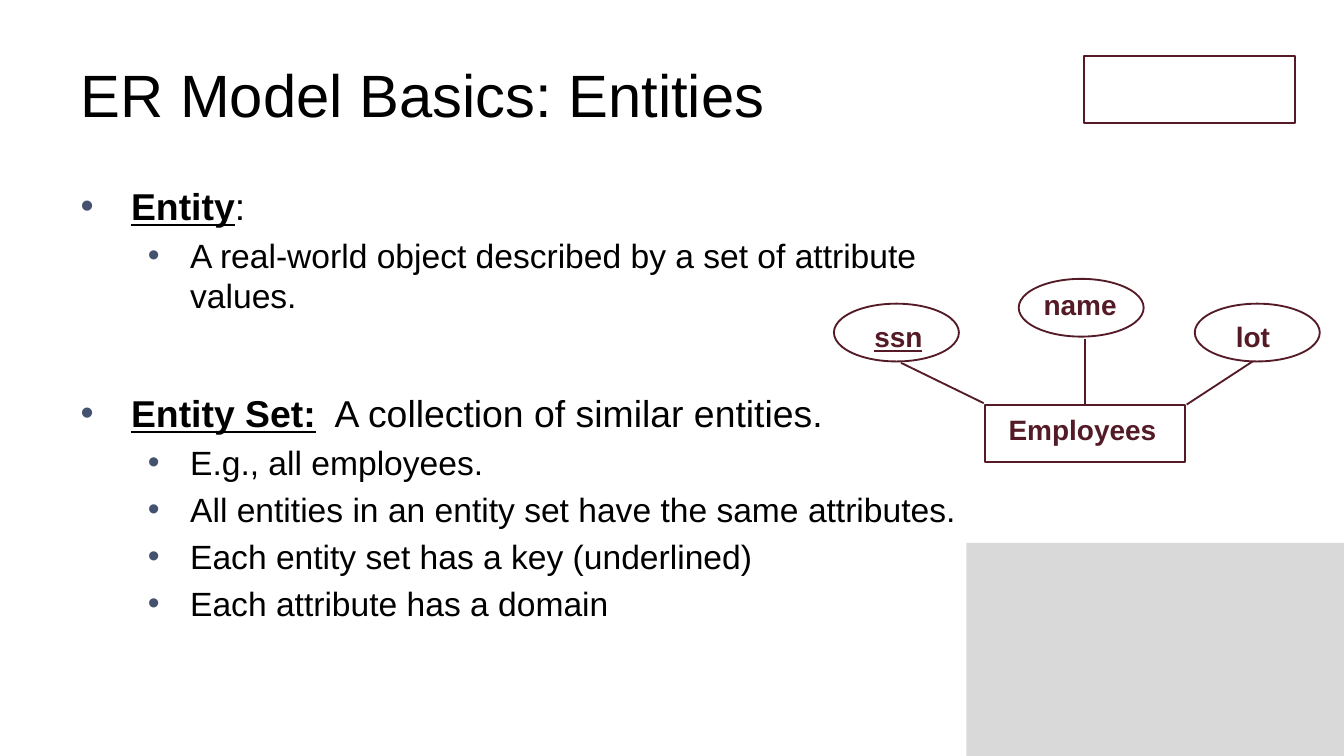
from dataclasses import dataclass

from lxml import etree
from pptx import Presentation
from pptx import util as u
from pptx.dml.color import RGBColor
from pptx.enum import shapes, text
from pptx.oxml import ns

PX = u.Inches(1) // 200


@dataclass(frozen=True)
class Theme:
    font: str = "Arial"
    ink: str = "000000"
    wine: str = "541B27"
    bullet: str = "44516F"
    block: str = "D9D9D9"
    title: int = 32
    items: tuple = (20, 18)
    label: int = 15


THEME = Theme()

# level, underlined term, remaining words, points before (None: inherited)
ITEMS = [
    (0, "Entity", ":", None),
    (1, "", "A real-world object described by a set of attribute values.", None),
    (0, "Entity Set:", "  A collection of similar entities.", 40),
    (1, "", "E.g., all employees.", None),
    (1, "", "All entities in an entity set have the same attributes.", None),
    (1, "", "Each entity set has a key (underlined)", None),
    (1, "", "Each attribute has a domain", None),
]
INDENTS = [(75, 75), (163, 63)]  # text margin and hanging bullet, by level

# name, is key, ellipse corner, label box
ATTRIBUTES = [
    ("ssn", True, (1241, 452), (1287, 468, 102, 66)),
    ("name", False, (1516, 415), (1539, 420, 140, 66)),
    ("lot", False, (1778, 452), (1825, 468, 82, 66)),
]


def px(*lengths):
    return [length * PX for length in lengths]


def place(shape, *frame):
    shape.left, shape.top, shape.width, shape.height = px(*frame)


def style_font(font, size, color, bold=None):
    font.name = THEME.font
    font.size = u.Pt(size)
    font.color.rgb = RGBColor.from_string(color)
    font.bold = bold


def style_line(line):
    line.color.rgb = RGBColor.from_string(THEME.wine)
    line.width = u.Pt(1)


def add_outline(page, kind, *frame):
    shape = page.shapes.add_shape(kind, *px(*frame))
    shape.shadow.inherit = False
    shape.fill.background()
    style_line(shape.line)
    return shape


def add_label(page, words, frame, underline=False):
    box = page.shapes.add_textbox(*px(*frame)).text_frame
    box.word_wrap = False
    box.auto_size = text.MSO_AUTO_SIZE.SHAPE_TO_FIT_TEXT
    box.margin_left, box.margin_right, box.margin_top, box.margin_bottom = px(14, 14, 8, 8)
    para = box.paragraphs[0]
    para.text = words
    style_font(para.font, THEME.label, THEME.wine, bold=True)
    para.font.underline = underline


def add_link(page, *ends):
    link = page.shapes.add_connector(shapes.MSO_CONNECTOR.STRAIGHT, *px(*ends))
    style_line(link.line)
    etree.SubElement(link.element.spPr, ns.qn("a:effectLst"))
    return link


def set_bullet(para, level):
    margin, hanging = px(*INDENTS[level])
    props = para._p.get_or_add_pPr()
    props.set("marL", str(margin))
    props.set("indent", str(-hanging))
    color = etree.SubElement(props, ns.qn("a:buClr"))
    etree.SubElement(color, ns.qn("a:srgbClr"), val=THEME.bullet)
    etree.SubElement(props, ns.qn("a:buChar"), char="•")


def fill_title(title):
    place(title, 100, 45, 1800, 188)
    title.text_frame.auto_size = text.MSO_AUTO_SIZE.NONE
    title.text_frame.vertical_anchor = text.MSO_ANCHOR.MIDDLE
    para = title.text_frame.paragraphs[0]
    para.text = "ER Model Basics: Entities"
    para.alignment = text.PP_ALIGN.LEFT
    style_font(para.font, THEME.title, THEME.ink)


def fill_list(body):
    place(body, 100, 263, 1354, 742)
    frame = body.text_frame
    frame.auto_size = text.MSO_AUTO_SIZE.NONE
    for index, (level, term, words, before) in enumerate(ITEMS):
        para = frame.add_paragraph() if index else frame.paragraphs[0]
        para.level = level
        set_bullet(para, level)
        if before:
            para.space_before = u.Pt(before)
        style_font(para.font, THEME.items[level], THEME.ink)
        if term:
            span = para.add_run()
            span.text = term
            span.font.bold = span.font.underline = True
        para.add_run().text = words


def add_corner_block(page):
    """Grey corner block, sent behind the text."""
    block = page.shapes.add_shape(shapes.MSO_SHAPE.RECTANGLE, *px(1438, 808, 562, 317))
    block.shadow.inherit = False
    block.fill.solid()
    block.fill.fore_color.rgb = RGBColor.from_string(THEME.block)
    block.line.fill.background()
    page.shapes.title.element.addprevious(block.element)


def add_diagram(page):
    entity = add_outline(page, shapes.MSO_SHAPE.RECTANGLE, 1466, 603, 298, 85)
    add_label(page, "Employees", (1487, 606, 252, 66))
    for name, is_key, corner, frame in ATTRIBUTES:
        add_outline(page, shapes.MSO_SHAPE.OVAL, *corner, 186, 86)
        add_label(page, name, frame, is_key)
    add_link(page, 1341, 540, 1464, 600)
    add_link(page, 1615, 504, 1615, 603).end_connect(entity, 0)
    add_link(page, 1766, 602, 1864, 538)


def main():
    deck = Presentation()
    deck.slide_width, deck.slide_height = px(2000, 1125)
    page = deck.slides.add_slide(deck.slide_layouts[1])
    fill_title(page.shapes.title)
    fill_list(page.placeholders[1])
    add_corner_block(page)
    add_diagram(page)
    add_outline(page, shapes.MSO_SHAPE.RECTANGLE, 1613, 83, 314, 100)
    deck.save("out.pptx")


if __name__ == "__main__":
    main()
